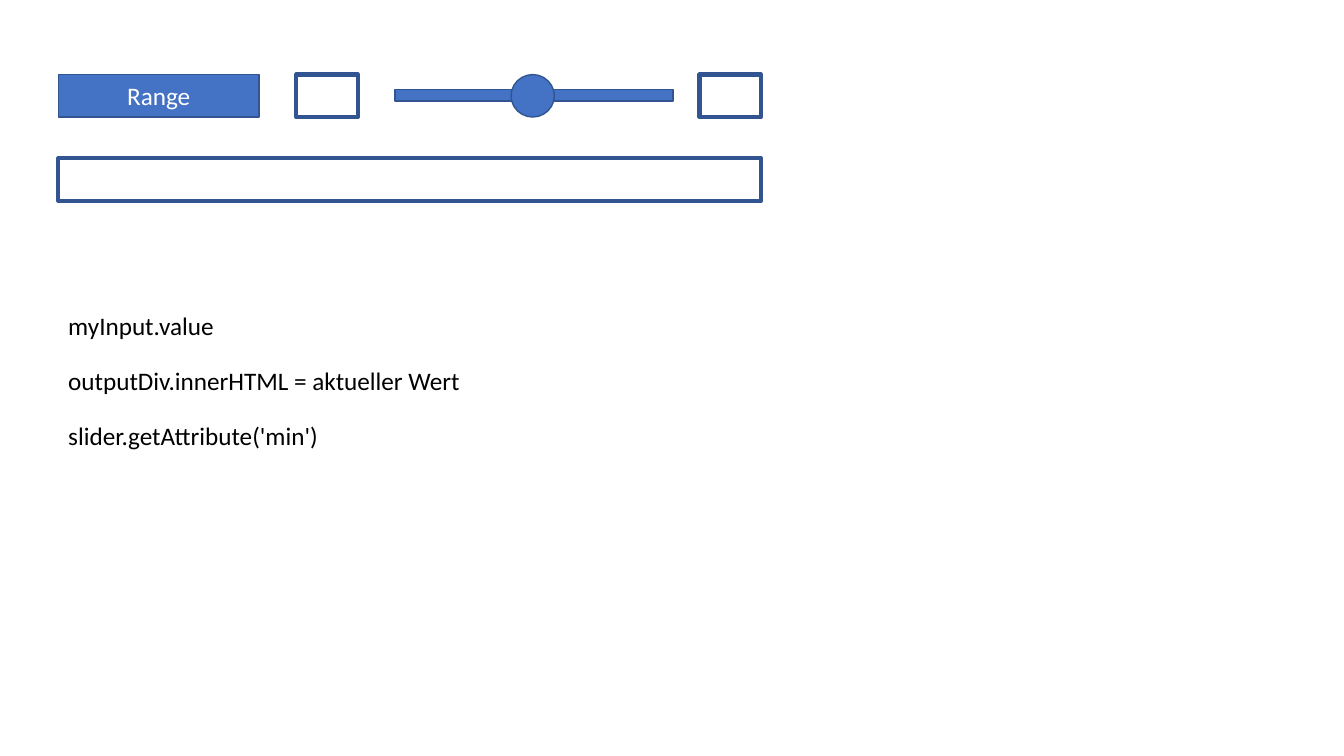
from pptx import Presentation
from pptx.dml.color import RGBColor
from pptx.enum.shapes import MSO_SHAPE
from pptx.enum.text import MSO_ANCHOR, MSO_AUTO_SIZE, PP_ALIGN
from pptx.util import Cm, Pt

BLUE = RGBColor(0x44, 0x72, 0xC4)
EDGE = RGBColor(0x32, 0x54, 0x91)
WHITE = RGBColor(0xFF, 0xFF, 0xFF)
BLACK = RGBColor(0x00, 0x00, 0x00)


class Sketch:
    font = "Calibri"
    size = Pt(18)

    def __init__(self, slide):
        self.slide = slide

    def shape(self, kind, left, top, width, height, line):
        item = self.slide.shapes.add_shape(
            kind, Cm(left), Cm(top), Cm(width), Cm(height))
        item.shadow.inherit = False
        item.line.color.rgb = EDGE
        item.line.width = Pt(line)
        return item

    def solid(self, left, top, width, height, kind=MSO_SHAPE.RECTANGLE):
        item = self.shape(kind, left, top, width, height, 1)
        item.fill.solid()
        item.fill.fore_color.rgb = BLUE
        return item

    def frame(self, left, top, width, height):
        item = self.shape(MSO_SHAPE.RECTANGLE, left, top, width, height, 3)
        item.fill.background()

    def label(self, par, text, color):
        run = par.add_run()
        run.text = text
        run.font.name = self.font
        run.font.size = self.size
        run.font.color.rgb = color

    def button(self, text, left, top, width, height):
        item = self.solid(left, top, width, height)
        item.text_frame.vertical_anchor = MSO_ANCHOR.MIDDLE
        par = item.text_frame.paragraphs[0]
        par.alignment = PP_ALIGN.CENTER
        self.label(par, text, WHITE)

    def note(self, text, left, top, width, height):
        box = self.slide.shapes.add_textbox(
            Cm(left), Cm(top), Cm(width), Cm(height))
        frame = box.text_frame
        frame.word_wrap = True
        frame.auto_size = MSO_AUTO_SIZE.SHAPE_TO_FIT_TEXT
        self.label(frame.paragraphs[0], text, BLACK)


def main():
    deck = Presentation()
    deck.slide_width = Cm(33.87)
    deck.slide_height = Cm(19.05)
    sketch = Sketch(deck.slides.add_slide(deck.slide_layouts[6]))
    left, top, high = 1.47, 1.88, 1.07

    # Range button and slider
    sketch.button("Range", left, top, 5.06, high)
    sketch.solid(9.96, 2.26, 7, 0.29)
    sketch.solid(12.88, top, 1.09, high, MSO_SHAPE.OVAL)

    # Boxes for the limits and the output
    for side in (7.47, 17.63):
        sketch.frame(side, top, 1.55, high)
    sketch.frame(left, 3.99, 17.71, high)

    # Code notes
    notes = (
        ("myInput.value", 9.14),
        ("outputDiv.innerHTML = aktueller Wert", 12.5),
        ("slider.getAttribute('min')", 12.5),
    )
    for row, (text, width) in enumerate(notes):
        sketch.note(text, left, 7.7 + row * 1.38, width, 1.03)

    deck.save("out.pptx")


if __name__ == "__main__":
    main()
